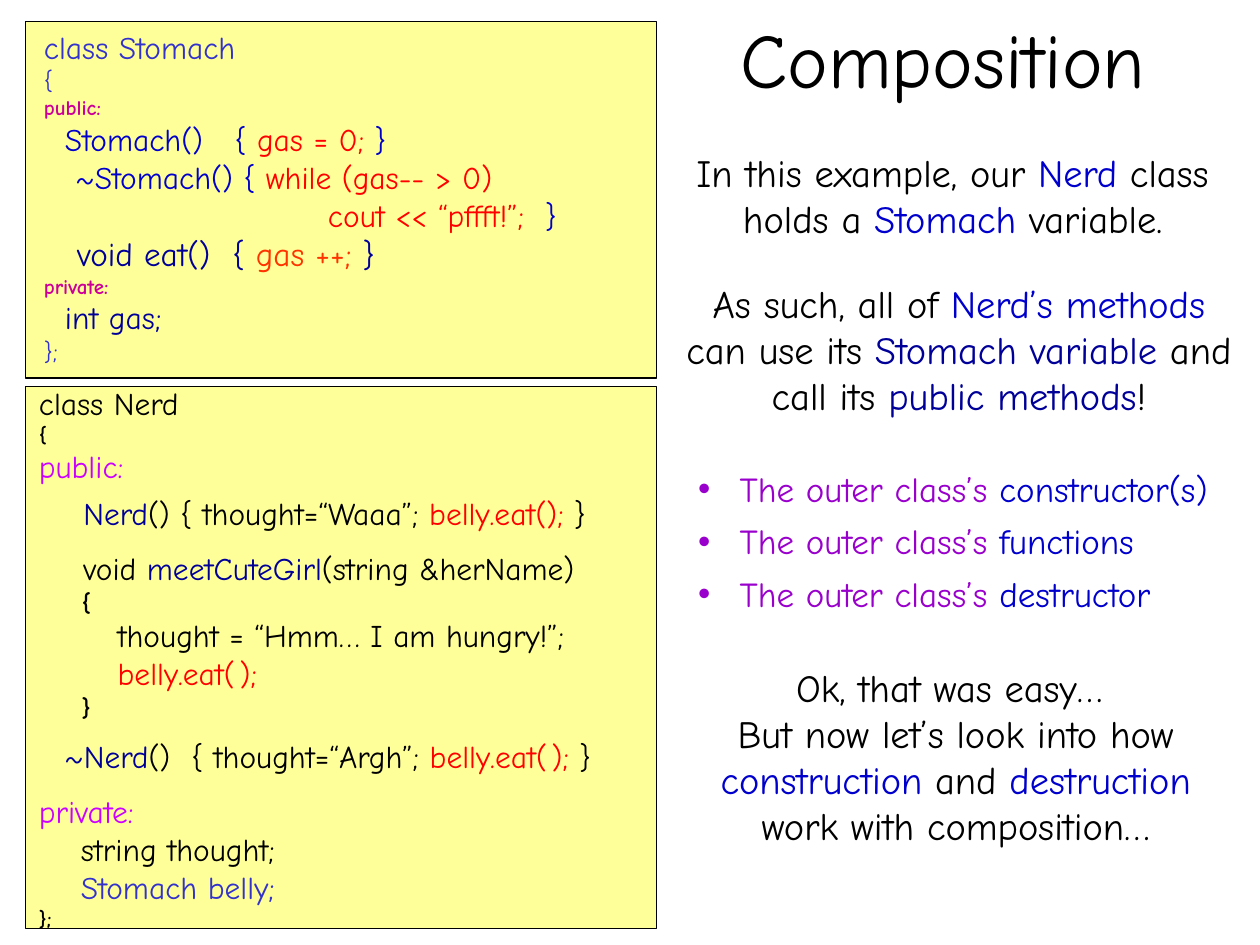
"""Build the Composition slide: two class listings beside their explanation."""
import pptx
import pptx.dml.color
import pptx.enum.shapes
import pptx.enum.text
import pptx.oxml
import pptx.oxml.ns
import pptx.util

PX = 9144
FONT = "Comic Neue"
COLORS = {
    "black": "000000", "paper": "FFFF99", "blue": "0000CC", "navy": "000099",
    "indigo": "3333CC", "red": "FF0000", "orange": "FF3300",
    "magenta": "CC0099", "pink": "CC00FF", "purple": "9900CC",
}
LEFT = pptx.enum.text.PP_ALIGN.LEFT
CENTER = pptx.enum.text.PP_ALIGN.CENTER


def color(name):
    return pptx.dml.color.RGBColor.from_string(COLORS[name])


def write(shape, box, lines, size, align=LEFT):
    """Place a shape and fill it; a run is (text, color[, size[, bold]])."""
    shape.left, shape.top, shape.width, shape.height = [value * PX for value in box]
    frame = shape.text_frame
    frame.word_wrap = True
    frame.auto_size = pptx.enum.text.MSO_AUTO_SIZE.NONE
    for index, line in enumerate(lines):
        paragraph = frame.add_paragraph() if index else frame.paragraphs[0]
        paragraph.alignment = align
        for text, name, *style in line:
            if text == "\n":
                paragraph.add_line_break()
                continue
            run = paragraph.add_run()
            run.text = text
            run.font.name = FONT
            run.font.size = pptx.util.Pt(style[0] if style else size)
            run.font.bold = len(style) > 1 and style[1]
            run.font.color.rgb = color(name)


presentation = pptx.Presentation()
presentation.slide_width = 1000 * PX
presentation.slide_height = 750 * PX
slide = presentation.slides.add_slide(presentation.slide_layouts[1])

for top, height in [(17, 283), (307, 430)]:
    panel = slide.shapes.add_shape(
        pptx.enum.shapes.MSO_SHAPE.RECTANGLE, 20 * PX, top * PX, 501 * PX, height * PX)
    panel.shadow.inherit = False
    panel.fill.solid()
    panel.fill.fore_color.rgb = color("paper")
    panel.line.color.rgb = color("black")
    panel.line.width = pptx.util.Pt(0.75)

write(slide.shapes.title, (521, 0, 455, 91), [[("Composition", "black")]], 44, CENTER)
slide.shapes.title.text_frame.vertical_anchor = pptx.enum.text.MSO_ANCHOR.MIDDLE

stomach_class = [
    [("class Stomach", "indigo")],
    [("{", "indigo", 14)],
    [("public:", "magenta", 12, True)],
    [("  Stomach()   { ", "blue"), ("gas = 0;", "red"), (" }", "blue")],
    [("   ~Stomach() { ", "blue"), ("while (gas-- > 0)", "red"), ("\n", "red"),
     ("                           cout << “pffft!”;  ", "red"), ("}", "blue")],
    [("   void eat()  { ", "navy", 19), ("gas ++; ", "orange", 19), ("}", "navy", 19)],
    [("private:", "magenta", 12, True)],
    [("  int gas;", "navy")],
    [("};", "indigo", 14)],
]
nerd_opening = [
    [("class Nerd", "black")],
    [("{", "black", 12, True)],
    [("public:", "pink")],
]
nerd_constructor = [
    [(" ", "black"), ("Nerd", "navy"), ("() { thought=“Waaa”; ", "black"),
     ("belly.eat(); ", "red"), ("}", "black")],
]
belly_eat = [("belly.eat(", "red"), (" ", "red", 8), (");", "red")]
nerd_method = [
    [(" void ", "black"), ("meetCuteGirl", "navy"), ("(string &herName)", "black")],
    [(" {", "black", 14, True)],
    [("    ", "black", 18, True), ("thought = “Hmm… I am hungry!”;", "black")],
    [("    ", "black", 18, True), *belly_eat],
    [(" }", "black", 14, True)],
]
nerd_destructor = [
    [(" ", "black"), ("~Nerd", "navy"), ("()  { thought=“Argh”; ", "black"),
     *belly_eat, (" }", "black")],
]
nerd_members = [
    [("private:", "pink")],
    [("    string thought;", "black")],
    [("    Stomach belly;", "indigo")],
    [("};", "black", 12, True)],
]
for box, lines in [
    ((25, 17, 490, 283), stomach_class),
    ((21, 300, 228, 100), nerd_opening),
    ((48, 387, 470, 40), nerd_constructor),
    ((48, 431, 470, 151), nerd_method),
    ((33, 580, 485, 40), nerd_destructor),
    ((21, 624, 300, 120), nerd_members),
]:
    write(slide.shapes.add_textbox(0, 0, 0, 0), box, lines, 18)

holds_variable = [
    ("In this example, our ", "black"), ("Nerd", "blue"), (" class holds a ", "black"),
    ("Stomach ", "blue"), ("variable.", "black"),
]
uses_methods = [
    ("As such, all of ", "black"), ("Nerd’s methods ", "blue"), ("can use its ", "black"),
    ("Stomach variable ", "navy"), ("and call its ", "black"),
    ("public methods", "navy"), ("!", "black"),
]
next_topic = [
    ("Ok, that was easy… ", "black"), ("\n", "black"),
    ("But now let’s look into how ", "black"), ("construction", "blue"),
    (" and ", "black"), ("destruction", "blue"), (" work with composition…", "black"),
]
for box, line in [
    ((522, 113, 468, 84), holds_variable),
    ((532, 217, 458, 121), uses_methods),
    ((542, 522, 433, 158), next_topic),
]:
    write(slide.shapes.add_textbox(0, 0, 0, 0), box, [line], 22, CENTER)

members = ["constructor(s)", "functions", "destructor"]
member_list = slide.placeholders[1]
write(member_list, (544, 366, 446, 126),
      [[("The outer class’s ", "purple"), (member, "blue")] for member in members], 20)
for index, paragraph in enumerate(member_list.text_frame.paragraphs):
    paragraph.space_before = pptx.util.Pt(6 if index else 0)
    properties = paragraph._p.get_or_add_pPr()
    properties.set("marL", str(33 * PX))
    properties.set("indent", str(-33 * PX))
    bullet = pptx.oxml.parse_xml(
        f'<a:buChar {pptx.oxml.ns.nsdecls("a")} char="•"/>')
    properties.append(bullet)

presentation.save("out.pptx")
